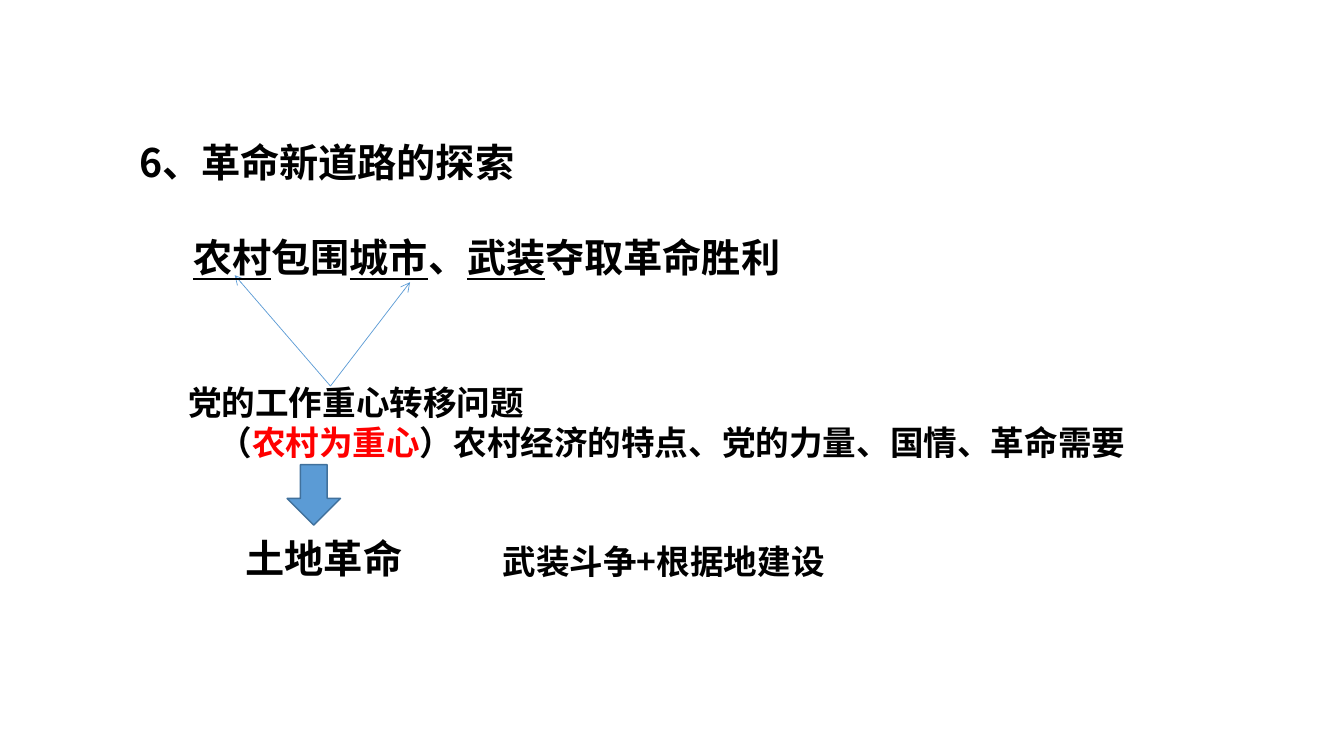
import pptx
import pptx.util
import pptx.dml.color
import pptx.enum.shapes
import pptx.enum.text
import pptx.oxml
from pptx.oxml.ns import qn

Inches = pptx.util.Inches
Pt = pptx.util.Pt
RGB = pptx.dml.color.RGBColor
BLACK = RGB(0x00, 0x00, 0x00)
RED = RGB(0xFF, 0x00, 0x00)
BLUE = RGB(0x5B, 0x9B, 0xD5)
NAVY = RGB(0x41, 0x71, 0x9C)
FONT = "Noto Sans CJK SC"

# Runs are (text, style); style "u" is underlined, "r" is red.
TITLE = ((1.28, 1.28, 3.98, 0.57), 28, True, [[("6、革命新道路的探索", "")]])
TEXTS = [
    ((1.82, 2.23, 6.02, 0.57), 28, False,
     [[("农村", "u"), ("包围", ""), ("城市", "u"), ("、", ""),
       ("武装", "u"), ("夺取革命胜利", "")]]),
    ((1.77, 3.7, 9.5, 0.9), 24, False,
     [[("党的工作重心转移问题", "")],
      [("（", ""), ("农村为重心", "r"),
       ("）农村经济的特点、党的力量、国情、革命需要", "")]]),
    ((2.34, 5.21, 1.75, 0.57), 28, False, [[("土地革命", "")]]),
    ((4.89, 5.28, 3.53, 0.5), 24, True, [[("武装斗争+根据地建设", "")]]),
]
FOCUS = (3.28, 3.83)
TIPS = [(2.33, 2.73), (4.07, 2.8)]
DOWN = (2.85, 4.61, 0.53, 0.6)
INDENT = 0.3


def fill_text(shape, box, size, wrap, paras):
    shape.left, shape.top, shape.width, shape.height = map(Inches, box)
    frame = shape.text_frame
    frame.word_wrap = wrap
    frame.auto_size = pptx.enum.text.MSO_AUTO_SIZE.NONE
    frame.vertical_anchor = pptx.enum.text.MSO_ANCHOR.TOP
    frame.margin_left = frame.margin_right = Inches(0.1)
    frame.margin_top, frame.margin_bottom = Inches(0.09), Inches(0.01)
    for i, runs in enumerate(paras):
        para = frame.add_paragraph() if i else frame.paragraphs[0]
        para.alignment = pptx.enum.text.PP_ALIGN.LEFT
        para.line_spacing = Pt(size * 1.2)
        if i:
            para._p.get_or_add_pPr().set("marL", str(Inches(INDENT)))
        for text, style in runs:
            run = para.add_run()
            run.text = text
            font = run.font
            font.name, font.size, font.bold = FONT, Pt(size), True
            font.underline = style == "u"
            font.color.rgb = RED if style == "r" else BLACK
            east = pptx.oxml.parse_xml(
                '<a:ea xmlns:a="http://schemas.openxmlformats.org/'
                f'drawingml/2006/main" typeface="{FONT}"/>')
            font._element.find(qn("a:latin")).addnext(east)


def add_arrow(slide, start, end):
    line = slide.shapes.add_connector(
        pptx.enum.shapes.MSO_CONNECTOR.STRAIGHT,
        *map(Inches, start + end))
    line.line.color.rgb = BLUE
    line.line.width = Pt(0.5)
    props = line._element.spPr
    tail = props.find(qn("a:ln")).makeelement(qn("a:tailEnd"), {"type": "arrow"})
    props.find(qn("a:ln")).append(tail)
    props.append(props.makeelement(qn("a:effectLst"), {}))


def main():
    deck = pptx.Presentation()
    deck.slide_width, deck.slide_height = Inches(13.34), Inches(7.5)
    slide = deck.slides.add_slide(deck.slide_layouts[5])
    shapes = slide.shapes
    fill_text(shapes.title, *TITLE)
    for tip in TIPS:
        add_arrow(slide, FOCUS, tip)
    for item in TEXTS:
        fill_text(shapes.add_textbox(*map(Inches, item[0])), *item)
    down = shapes.add_shape(
        pptx.enum.shapes.MSO_SHAPE.DOWN_ARROW, *map(Inches, DOWN))
    down.shadow.inherit = False
    down.fill.solid()
    down.fill.fore_color.rgb = BLUE
    down.line.color.rgb = NAVY
    down.line.width = Pt(1)
    deck.save("out.pptx")


if __name__ == "__main__":
    main()
